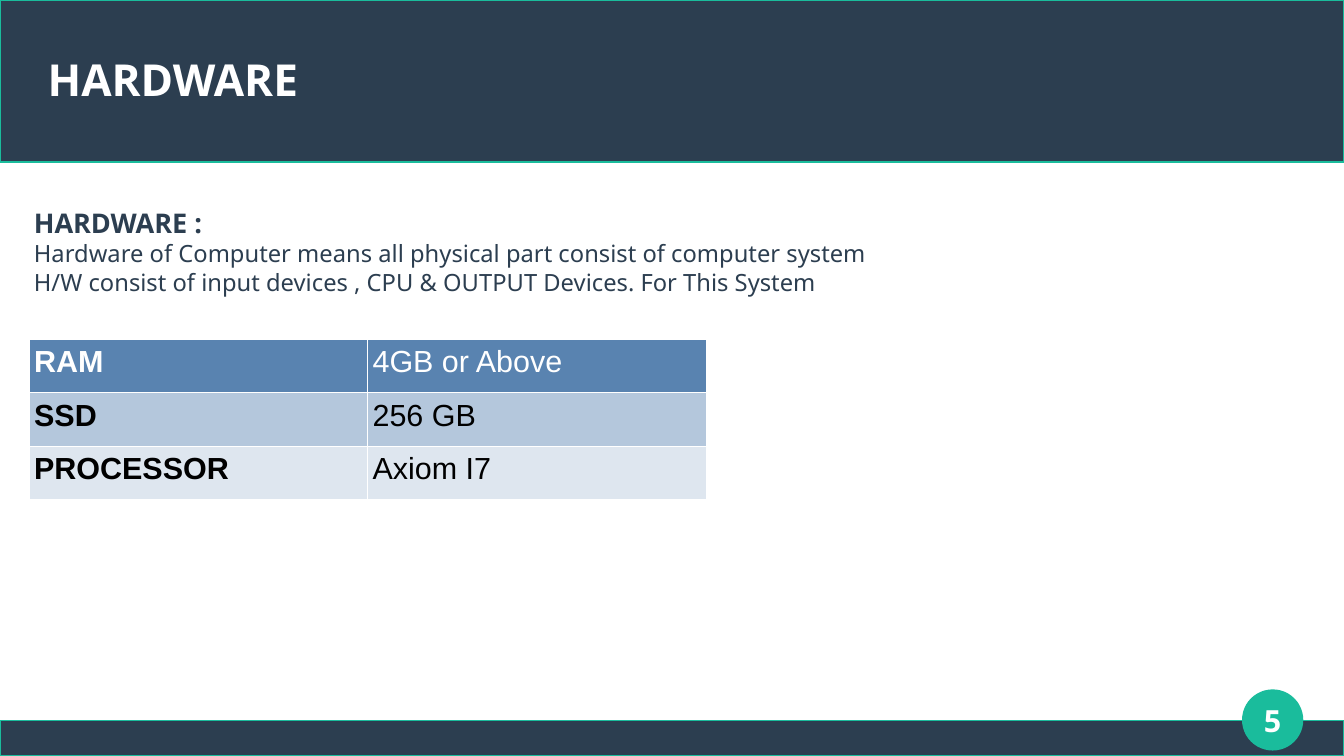
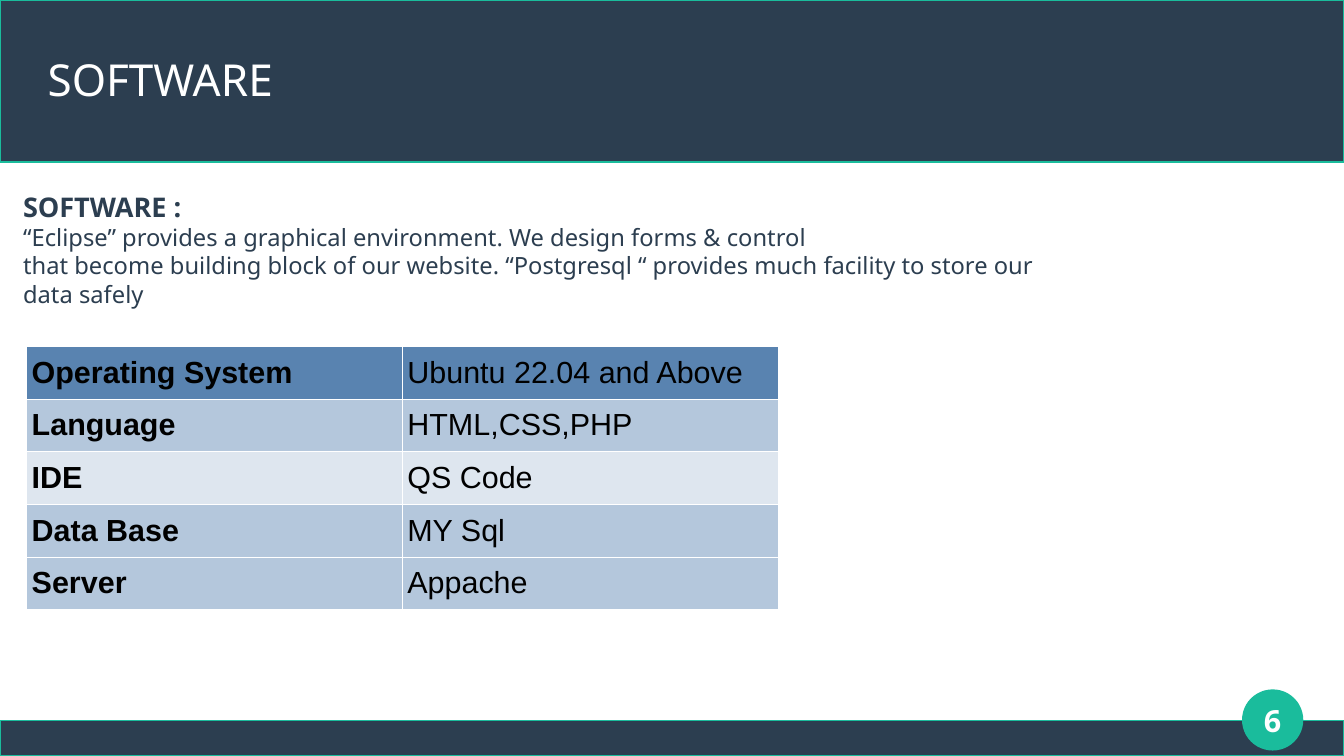
"""Build the hardware and software requirement slides."""
from dataclasses import dataclass
from typing import NamedTuple

from lxml import etree
from pptx import Presentation
from pptx import util as u
from pptx.dml.color import RGBColor
from pptx.enum import shapes, text
from pptx.oxml.ns import qn

WIDTH, HEIGHT = u.Inches(11.02), u.Inches(6.2)
COLOURS = {
    "navy": "2C3E50", "teal": "1ABC9C", "white": "FFFFFF", "black": "000000",
    "head": "5983B0", "band": "B4C7DC", "pale": "DEE6EF",
}
TITLE_FONT = {"name": "Noto Sans", "size": u.Pt(26)}
HEADING_FONT = {"name": "Noto Sans", "size": u.Pt(16), "bold": True}
BODY_FONT = {"name": "Noto Sans", "size": u.Pt(14), "bold": False}
NUMBER_FONT = {"name": "Noto Sans", "size": u.Pt(18), "bold": True}
CELL_FONT = {"name": "Arial", "size": u.Pt(18)}
NO_MARGINS = dict.fromkeys(
    ("margin_left", "margin_top", "margin_right", "margin_bottom"), 0)
CELL_MARGINS = {
    "margin_left": u.Inches(0.04), "margin_right": u.Inches(0.04),
    "margin_top": u.Inches(0.05), "margin_bottom": u.Inches(0.05),
}
MIDDLE = text.MSO_ANCHOR.MIDDLE
TOP = text.MSO_ANCHOR.TOP


class Area(NamedTuple):
    """A rectangle in percent of the slide's width and height."""
    left: float
    top: float
    width: float
    height: float

    def emu(self) -> tuple[int, int, int, int]:
        """Return the rectangle in slide units."""
        return (round(WIDTH * self.left / 100), round(HEIGHT * self.top / 100),
                round(WIDTH * self.width / 100), round(HEIGHT * self.height / 100))


class Ornament(NamedTuple):
    """A filled shape that every slide shares."""
    kind: shapes.MSO_SHAPE
    area: Area
    fill: str


@dataclass(frozen=True)
class Requirements:
    """The content of one slide."""
    title: str
    title_bold: bool
    number: int
    intro: tuple[str, ...]
    intro_area: Area
    intro_anchor: text.MSO_ANCHOR
    rows: tuple[tuple[str, str], ...]
    fills: tuple[str, ...]
    head_text: str
    table_area: Area
    cell_anchor: text.MSO_ANCHOR


TITLE_AREA = Area(3.54, 4.03, 92.92, 12.74)
NUMBER_AREA = Area(91.11, 91.29, 7.17, 7.9)
ORNAMENTS = (
    Ornament(shapes.MSO_SHAPE.RECTANGLE, Area(0, 95.32, 100, 4.68), "navy"),
    Ornament(shapes.MSO_SHAPE.RECTANGLE, Area(0, 0, 100, 21.45), "navy"),
    Ornament(shapes.MSO_SHAPE.OVAL, Area(92.47, 91.29, 4.45, 7.9), "teal"),
)
SLIDES = (
    Requirements(
        "HARDWARE", True, 5,
        ("HARDWARE :",
         "Hardware of Computer means all physical part consist of computer system",
         "H/W consist of input devices , CPU & OUTPUT Devices. For This System"),
        Area(1.63, 15.97, 81.31, 34.52), MIDDLE,
        (("RAM", "4GB or Above"), ("SSD", "256 GB"), ("PROCESSOR", "Axiom I7")),
        ("head", "band", "pale"), "white",
        Area(2.18, 44.84, 50.36, 21.29), TOP),
    Requirements(
        "SOFTWARE", False, 6,
        ("SOFTWARE :",
         "“Eclipse” provides a graphical environment. We design forms & control",
         "that become building block of our website. “Postgresql “ provides much "
         "facility to store our",
         "data safely"),
        Area(0.82, 24.35, 98.37, 50.97), TOP,
        (("Operating System", "Ubuntu 22.04 and Above"),
         ("Language", "HTML,CSS,PHP"), ("IDE", "QS Code"),
         ("Data Base", "MY Sql"), ("Server", "Appache")),
        ("head", "band", "pale", "band", "band"), "black",
        Area(2, 45.81, 55.9, 34.84), MIDDLE),
)


def colour(name: str) -> RGBColor:
    """Look up a palette colour."""
    return RGBColor.from_string(COLOURS[name])


def apply(target, values: dict) -> None:
    """Set each named attribute on the target."""
    for name, value in values.items():
        setattr(target, name, value)


def write(para, words: str, style: dict, ink: str) -> None:
    """Put one formatted run in a paragraph."""
    span = para.add_run()
    span.text = words
    apply(span.font, style)
    span.font.color.rgb = colour(ink)


def decorate_layout(page, layout) -> None:
    """Place the shared bands and number disc on the layout."""
    for index, item in enumerate(ORNAMENTS):
        box = page.shapes.add_shape(item.kind, *item.area.emu())
        box.shadow.inherit = False
        box.fill.solid()
        box.fill.fore_color.rgb = colour(item.fill)
        box.line.color.rgb = colour("teal")
        box.line.width = u.Pt(0.85)
        box.element.xpath(".//p:cNvPr")[0].set("id", str(100 + index))
        layout.shapes.element.append(box.element)


def add_title(page, content: Requirements) -> None:
    """Move and format the title placeholder."""
    box = page.shapes.title
    apply(box, dict(zip(("left", "top", "width", "height"), TITLE_AREA.emu())))
    apply(box.text_frame, NO_MARGINS | {
        "vertical_anchor": MIDDLE, "word_wrap": True,
        "auto_size": text.MSO_AUTO_SIZE.NONE})
    para = box.text_frame.paragraphs[0]
    para.alignment = text.PP_ALIGN.LEFT
    write(para, content.title, TITLE_FONT | {"bold": content.title_bold}, "white")


def add_intro(page, content: Requirements) -> None:
    """Write the heading and its explanation."""
    frame = page.shapes.add_textbox(*content.intro_area.emu()).text_frame
    apply(frame, {"word_wrap": True, "vertical_anchor": content.intro_anchor})
    for index, words in enumerate(content.intro):
        para = frame.add_paragraph() if index else frame.paragraphs[0]
        write(para, words, BODY_FONT if index else HEADING_FONT, "navy")


def add_borders(cell) -> None:
    """Give a table cell thin white edges."""
    properties = cell._tc.get_or_add_tcPr()
    for side in ("lnL", "lnR", "lnT", "lnB"):
        edge = etree.SubElement(properties, qn(f"a:{side}"), w=str(u.Pt(0.57)))
        fill = etree.SubElement(edge, qn("a:solidFill"))
        etree.SubElement(fill, qn("a:srgbClr"), val=COLOURS["white"])


def add_requirements(page, content: Requirements) -> None:
    """Build the table of requirements."""
    table = page.shapes.add_table(
        len(content.rows), 2, *content.table_area.emu()).table
    apply(table, {"first_row": False, "horz_banding": False})
    for row, (entries, fill) in enumerate(zip(content.rows, content.fills)):
        for column, words in enumerate(entries):
            cell = table.cell(row, column)
            apply(cell, CELL_MARGINS | {"vertical_anchor": content.cell_anchor})
            add_borders(cell)
            cell.fill.solid()
            cell.fill.fore_color.rgb = colour(fill)
            write(cell.text_frame.paragraphs[0], words,
                  CELL_FONT | {"bold": column == 0},
                  "black" if row else content.head_text)


def add_number(page, number: int) -> None:
    """Write the page number over the disc."""
    frame = page.shapes.add_textbox(*NUMBER_AREA.emu()).text_frame
    apply(frame, NO_MARGINS | {"vertical_anchor": MIDDLE, "word_wrap": True})
    para = frame.paragraphs[0]
    para.alignment = text.PP_ALIGN.CENTER
    write(para, str(number), NUMBER_FONT, "white")


def main() -> None:
    """Build and save the deck."""
    deck = Presentation()
    apply(deck, {"slide_width": WIDTH, "slide_height": HEIGHT})
    layout = deck.slide_layouts.get_by_name("Title Only")
    for index, content in enumerate(SLIDES):
        page = deck.slides.add_slide(layout)
        if index == 0:
            decorate_layout(page, layout)
        add_title(page, content)
        add_intro(page, content)
        add_requirements(page, content)
        add_number(page, content.number)
    deck.save("out.pptx")


if __name__ == "__main__":
    main()
